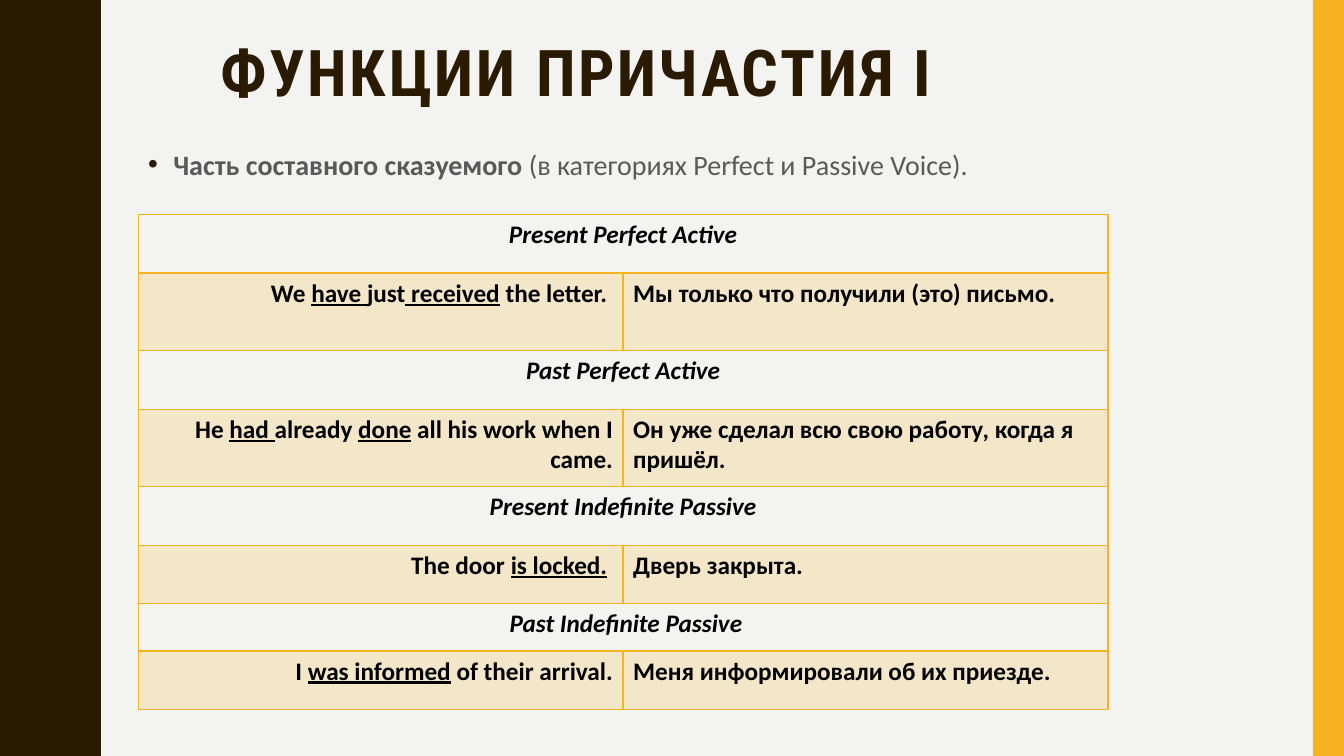
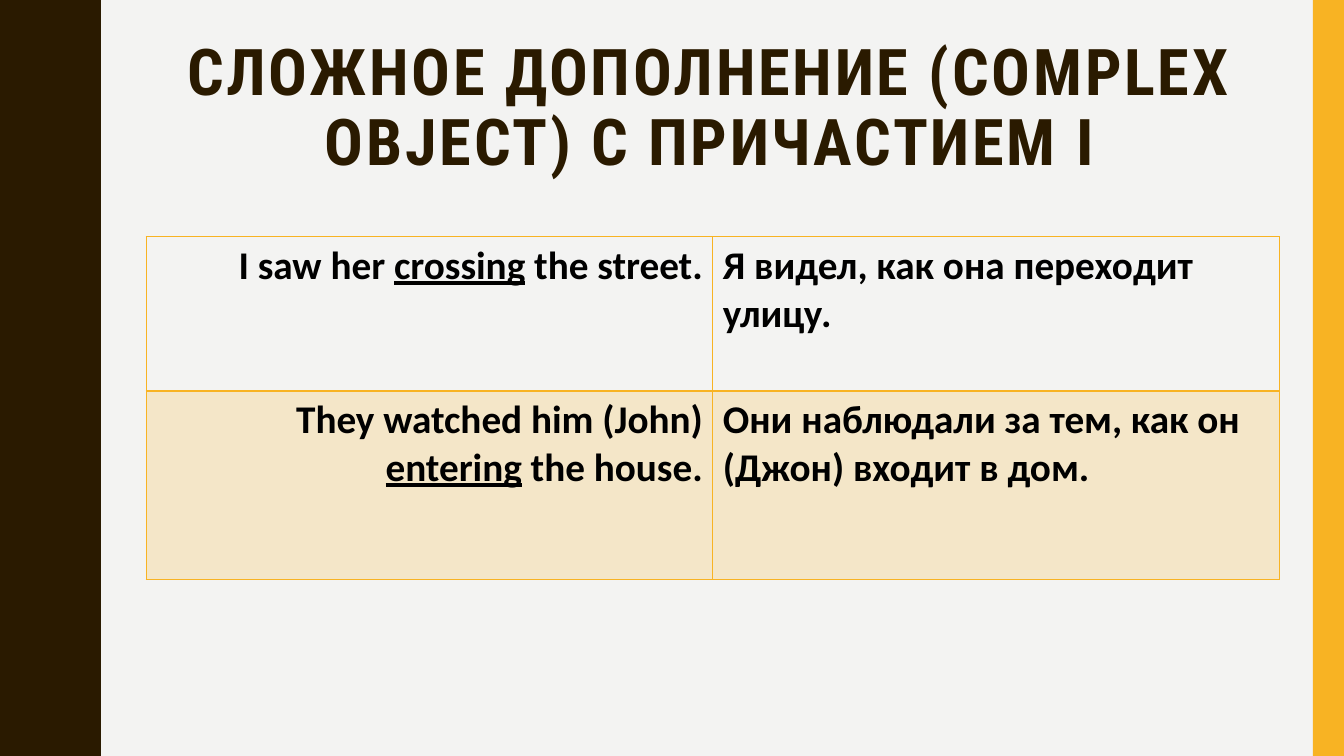
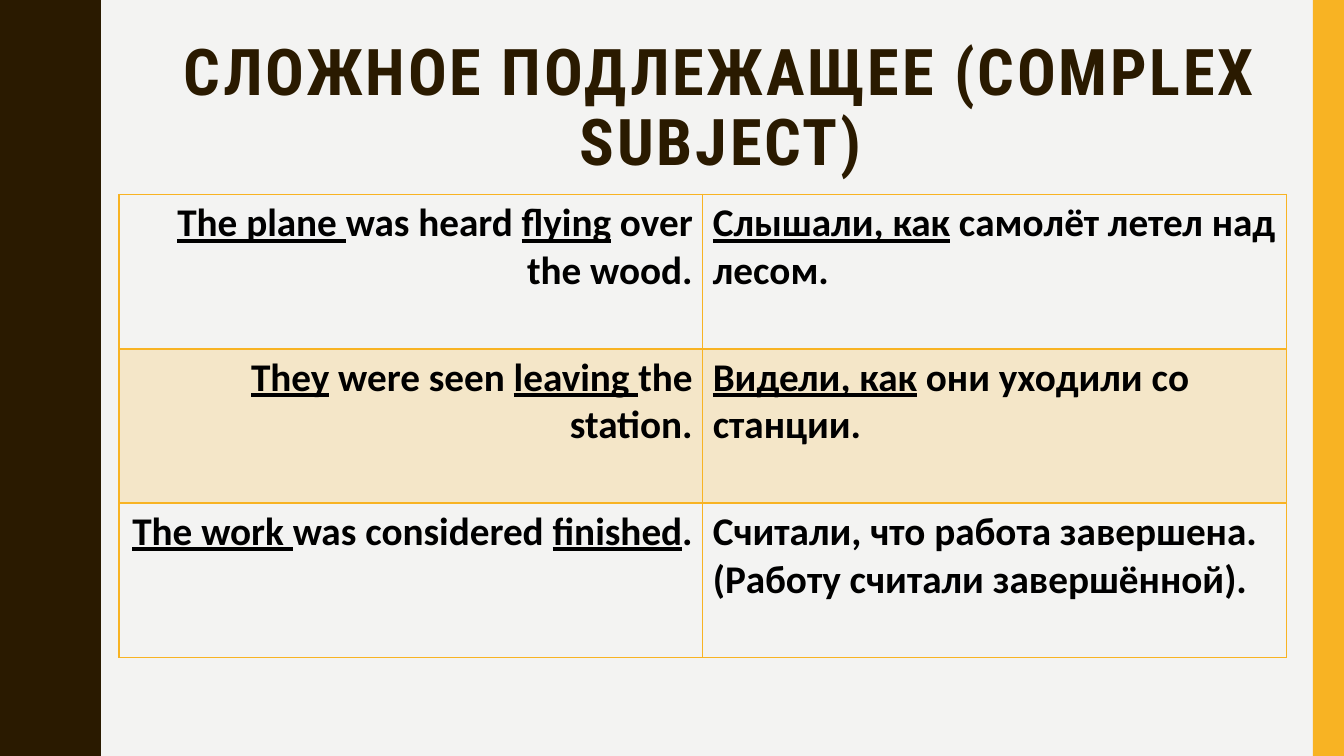
"""Build three grammar slides on the functions of participles."""
import pptx
import pptx.util
import pptx.dml.color
import pptx.enum.shapes
import pptx.enum.text
import pptx.oxml
import pptx.oxml.ns
from lxml import etree

In, Pt = pptx.util.Inches, pptx.util.Pt
RGBColor = pptx.dml.color.RGBColor
ALIGN = pptx.enum.text.PP_ALIGN
qn = pptx.oxml.ns.qn

PAPER = RGBColor(0xF3, 0xF3, 0xF2)
BROWN = RGBColor(0x2A, 0x1A, 0x00)
GOLD = RGBColor(0xF8, 0xB3, 0x23)
GREY = RGBColor(0x59, 0x59, 0x59)
BLACK = RGBColor(0, 0, 0)
TITLE_FONT, BODY_FONT = "Roboto Condensed", "Calibri"
WIDTH, HEIGHT, STRIPE = 13.33, 7.5, 0.31
WAVE_PERIOD = 1.5
HALF_WAVE = [(0.78, 0), (0.78, 0.07), (0.79, 0.14), (0.8, 0.2), (0.81, 0.25),
             (0.83, 0.29), (0.85, 0.33), (0.87, 0.38), (0.89, 0.42), (0.91, 0.46),
             (0.93, 0.5), (0.95, 0.55), (0.96, 0.61), (0.97, 0.68), (0.97, 0.75)]

# Underscores enclose underlined words; a row with one text spans both columns.
SLIDES = [
    {"title": "ФУНКЦИИ ПРИЧАСТИЯ I", "title_box": (1.07, 0.36, 9.29, 0.69),
     "bullet": [("Часть составного сказуемого", True),
                (" (в категориях Perfect и Passive Voice).", False)],
     "table_at": (1.37, 2.13), "col": 4.81, "size": 18,
     "heights": [0.58, 0.77, 0.58, 0.77, 0.58, 0.58, 0.47, 0.58],
     "rows": [
         ["Present Perfect Active"],
         ["We _have _just_ received_ the letter. ", "Мы только что получили (это) письмо."],
         ["Past Perfect Active"],
         ["He _had _already _done_ all his work when I came.",
          "Он уже сделал всю свою работу, когда я пришёл."],
         ["Present Indefinite Passive"],
         ["The door _is locked._ ", "Дверь закрыта."],
         [" Past Indefinite Passive"],
         ["I _was informed_ of their arrival.", "Меня информировали об их приезде."]]},
    {"title": "СЛОЖНОЕ ДОПОЛНЕНИЕ (COMPLEX OBJECT) С ПРИЧАСТИЕМ I",
     "title_box": (1.45, 0.35, 11.18, 0.8),
     "table_at": (1.45, 2.35), "col": 5.62, "size": 28, "heights": [1.53, 1.87],
     "rows": [
         ["I saw her _crossing_ the street.", "Я видел, как она переходит улицу."],
         ["They watched him (John) _entering_ the house.",
          "Они наблюдали за тем, как он (Джон) входит в дом."]]},
    {"title": "СЛОЖНОЕ ПОДЛЕЖАЩЕЕ (COMPLEX SUBJECT)",
     "title_box": (1.45, 0.35, 11.4, 0.8),
     "table_at": (1.18, 1.93), "col": 5.79, "size": 28, "heights": [1.53] * 3,
     "rows": [
         ["_The plane _was heard _flying_ over the wood.",
          "_Слышали, как_ самолёт летел над лесом."],
         ["_They_ were seen _leaving _the station.", "_Видели, как_ они уходили со станции."],
         ["_The work _was considered _finished_.",
          "Считали, что работа завершена.\n(Работу считали завершённой)."]]},
]


def add_run(p, text, font, size, color, bold=True):
    r = p.add_run()
    r.text = text
    r.font.name, r.font.size, r.font.bold = font, Pt(size), bold
    r.font.color.rgb = color
    return r


def paint(sp, color):
    sp.shadow.inherit = False
    sp.fill.solid()
    sp.fill.fore_color.rgb = color
    sp.line.fill.background()


def add_frame(s):
    crest = HALF_WAVE + [(x, WAVE_PERIOD - y) for x, y in reversed(HALF_WAVE[:-1])]
    edge = [(x, y + k * WAVE_PERIOD)
            for k in range(round(HEIGHT / WAVE_PERIOD)) for x, y in crest]
    outline = s.shapes.build_freeform(0, 0, scale=In(1))
    outline.add_line_segments(edge + [(0, HEIGHT)], close=True)
    paint(outline.convert_to_shape(), BROWN)
    paint(s.shapes.add_shape(pptx.enum.shapes.MSO_SHAPE.RECTANGLE, In(WIDTH - STRIPE), 0,
                             In(STRIPE), In(HEIGHT)), GOLD)


def add_text(s, box):
    tf = s.shapes.add_textbox(*map(In, box)).text_frame
    tf.word_wrap = True
    return tf.paragraphs[0]


def add_title(s, text, box):
    p = add_text(s, box)
    p.alignment, p.line_spacing = ALIGN.CENTER, 0.9
    r = add_run(p, text, TITLE_FONT, 46, BROWN)
    r.font._element.set("spc", "200")


def add_bullet(s, runs):
    p = add_text(s, (1.37, 1.38, 9.95, 0.6))
    p.line_spacing, p.space_before = 1.1, Pt(7)
    pPr = p._p.get_or_add_pPr()
    pPr.set("marL", str(In(0.25)))
    pPr.set("indent", str(-In(0.25)))
    color = etree.SubElement(pPr, qn("a:buClr"))
    etree.SubElement(color, qn("a:srgbClr"), val=str(BROWN))
    etree.SubElement(pPr, qn("a:buFont"), typeface="Arial")
    etree.SubElement(pPr, qn("a:buChar"), char="•")
    for text, bold in runs:
        add_run(p, text, BODY_FONT, 20, GREY, bold)


def style_cell(cell, row):
    if row % 2:
        cell.fill.solid()
        cell.fill.fore_color.rgb = GOLD
        tint = cell._tc.tcPr.find(".//" + qn("a:srgbClr"))
        etree.SubElement(tint, qn("a:alpha"), val="20000")
    else:
        cell.fill.background()
    heavy = {(0, "B"), (1, "T")}
    for i, side in enumerate("LRTB"):
        ln = etree.Element(qn("a:ln" + side), w=str(Pt(2 if (row, side) in heavy else 1)))
        fill = etree.SubElement(ln, qn("a:solidFill"))
        etree.SubElement(fill, qn("a:srgbClr"), val=str(GOLD))
        cell._tc.tcPr.insert(i, ln)


def fill_cell(cell, text, size, align, italic):
    for i, line in enumerate(text.split("\n")):
        p = cell.text_frame.paragraphs[0] if i == 0 else cell.text_frame.add_paragraph()
        p.alignment = align
        for j, part in enumerate(line.split("_")):
            if part:
                r = add_run(p, part, BODY_FONT, size, BLACK)
                r.font.underline, r.font.italic = bool(j % 2), italic


def add_examples(s, d):
    heights = d["heights"]
    box = (*d["table_at"], 2 * d["col"], sum(heights))
    table = s.shapes.add_table(len(heights), 2, *map(In, box)).table
    for column in table.columns:
        column.width = In(d["col"])
    for i, (texts, height) in enumerate(zip(d["rows"], heights)):
        table.rows[i].height = In(height)
        cells = [table.cell(i, 0), table.cell(i, 1)]
        heading = len(texts) == 1
        if heading:
            cells[0].merge(cells[1])
        for cell in cells:
            style_cell(cell, i)
        aligns = [ALIGN.CENTER] if heading else [ALIGN.RIGHT, ALIGN.LEFT]
        for cell, text, align in zip(cells, texts, aligns):
            fill_cell(cell, text, d["size"], align, heading)


def main():
    prs = pptx.Presentation()
    prs.slide_width, prs.slide_height = In(WIDTH), In(HEIGHT)
    background = prs.slide_master.background.fill
    background.solid()
    background.fore_color.rgb = PAPER
    for d in SLIDES:
        s = prs.slides.add_slide(prs.slide_layouts[6])
        add_frame(s)
        add_title(s, d["title"], d["title_box"])
        if "bullet" in d:
            add_bullet(s, d["bullet"])
        add_examples(s, d)
    prs.save("out.pptx")


if __name__ == "__main__":
    main()
